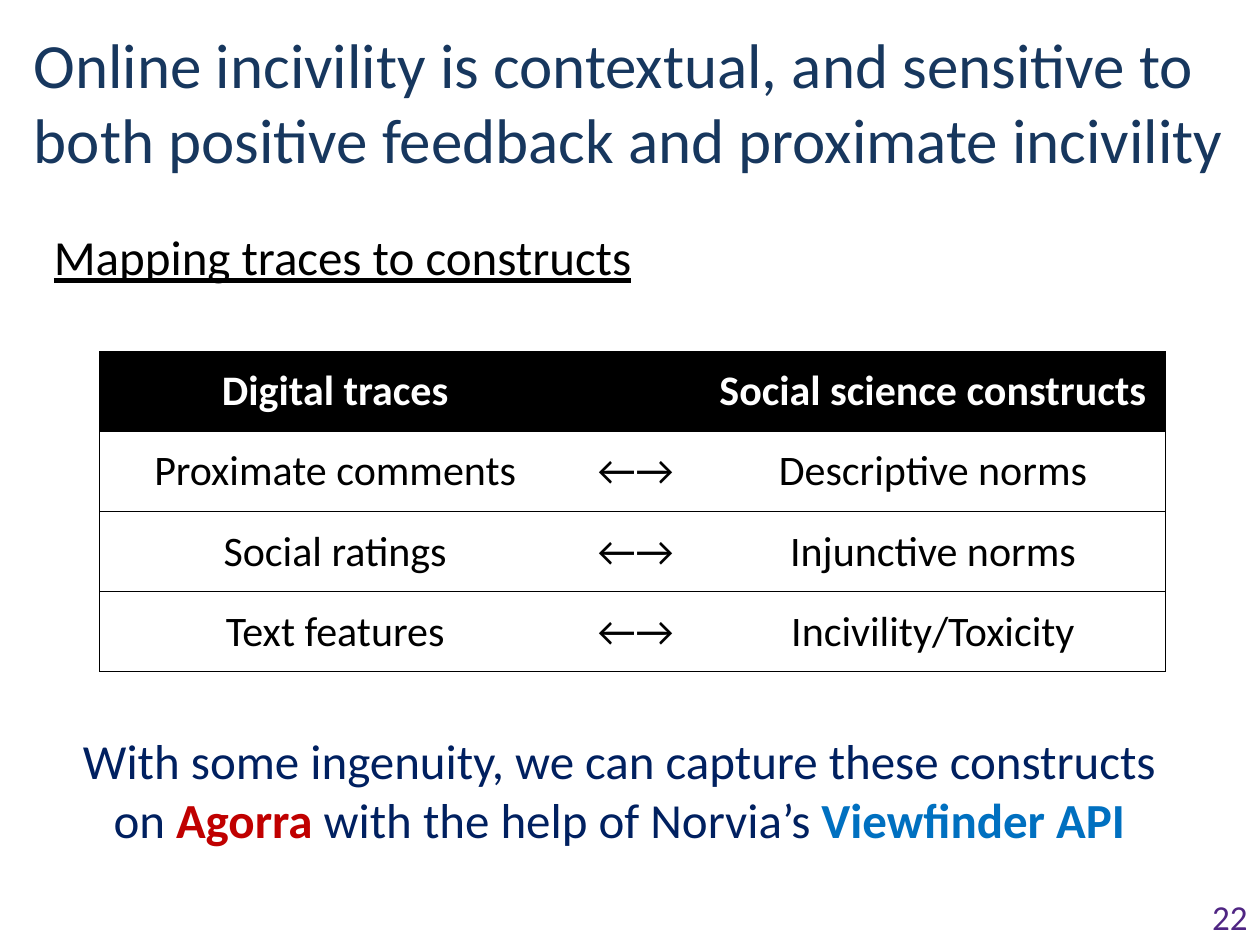
from dataclasses import dataclass

from lxml.etree import SubElement
from pptx import Presentation
from pptx.dml.color import RGBColor
from pptx.enum.text import MSO_ANCHOR as Anchor, PP_ALIGN as Align
from pptx.oxml.ns import qn
from pptx.util import Inches, Pt

WIDTH, HEIGHT = Inches(10), Inches(7.5)
FONT = "Calibri"
COLORS = {
    "black": "000000", "white": "FFFFFF", "title": "17375E", "number": "4F2583",
    "navy": "002060", "red": "C00000", "blue": "0070C0",
}
PLAIN_TABLE_STYLE = "{2D5ABB26-0587-4C30-8999-92F81FD0307C}"
COLUMN_SHARES = (0.374, 0.103, 0.369)
ROWS = (
    ("Digital traces", "", "Social science constructs"),
    ("Proximate comments", "←→", "Descriptive norms"),
    ("Social ratings", "←→", "Injunctive norms"),
    ("Text features", "←→", "Incivility/Toxicity"),
)


@dataclass(frozen=True)
class Span:
    text: str
    color: str
    bold: bool = False
    underline: bool = False


@dataclass(frozen=True)
class TextBox:
    """Place and size are shares of the slide's width and height."""
    left: float
    top: float
    width: float
    height: float
    size: int
    spans: tuple[Span, ...]
    align: Align = Align.LEFT
    anchor: Anchor = Anchor.TOP


TEXT_BOXES = (
    TextBox(0.033, 0.233, 0.917, 0.122, 28,
            (Span("Mapping traces to constructs", "black", underline=True),)),
    TextBox(0.017, 0.023, 0.967, 0.167, 36,
            (Span("Online incivility is contextual, and sensitive to "
                  "both positive feedback and proximate incivility", "title"),),
            anchor=Anchor.MIDDLE),
    TextBox(0.933, 0.941, 0.067, 0.059, 20, (Span("22", "number"),), Align.RIGHT),
    TextBox(0.033, 0.767, 0.917, 0.141, 28,
            (Span("With some ingenuity, we can capture these constructs on ", "navy"),
             Span("Agorra", "red", bold=True),
             Span(" with the help of Norvia’s ", "navy"),
             Span("Viewfinder API", "blue", bold=True)),
            Align.CENTER),
)


def add_span(para, span: Span, size: int) -> None:
    run = para.add_run()
    run.text = span.text
    formats = {"name": FONT, "size": Pt(size), "bold": span.bold,
               "underline": span.underline}
    for name, value in formats.items():
        setattr(run.font, name, value)
    run.font.color.rgb = RGBColor.from_string(COLORS[span.color])


def add_text(page, spec: TextBox) -> None:
    box = page.shapes.add_textbox(
        int(WIDTH * spec.left), int(HEIGHT * spec.top),
        int(WIDTH * spec.width), int(HEIGHT * spec.height))
    frame = box.text_frame
    frame.word_wrap = True
    frame.vertical_anchor = spec.anchor
    para = frame.paragraphs[0]
    para.alignment = spec.align
    for span in spec.spans:
        add_span(para, span, spec.size)


def set_borders(cell, drawn_sides: str) -> None:
    """Draw the sides named by the letters L, R, T and B; clear the others."""
    properties = cell._tc.get_or_add_tcPr()
    for side in "LRTB":
        line = SubElement(properties, qn(f"a:ln{side}"), w=str(Pt(0.75)))
        if side in drawn_sides:
            fill = SubElement(line, qn("a:solidFill"))
            SubElement(fill, qn("a:srgbClr"), val=COLORS["black"])
        else:
            SubElement(line, qn("a:noFill"))


def fill_cell(cell, text: str, is_header: bool, drawn_sides: str) -> None:
    set_borders(cell, drawn_sides)
    cell.fill.solid()
    cell.fill.fore_color.rgb = RGBColor.from_string(
        COLORS["black" if is_header else "white"])
    cell.vertical_anchor = Anchor.MIDDLE
    para = cell.text_frame.paragraphs[0]
    para.alignment = Align.CENTER
    if text:
        add_span(para, Span(text, "white" if is_header else "black", is_header), 24)


def add_mapping_table(page) -> None:
    table = page.shapes.add_table(
        len(ROWS), len(COLUMN_SHARES), int(WIDTH * 0.079), int(HEIGHT * 0.372),
        int(WIDTH * sum(COLUMN_SHARES)), int(HEIGHT * 0.339)).table
    table.first_row = table.horz_banding = False
    table._tbl.tblPr.find(qn("a:tableStyleId")).text = PLAIN_TABLE_STYLE
    for column, share in zip(table.columns, COLUMN_SHARES):
        column.width = int(WIDTH * share)
    outer_sides = ("L", "", "R")
    for row, texts in enumerate(ROWS):
        for column, text in enumerate(texts):
            fill_cell(table.cell(row, column), text, row == 0,
                      "TB" + outer_sides[column])


def main() -> None:
    deck = Presentation()
    deck.slide_width, deck.slide_height = WIDTH, HEIGHT
    page = deck.slides.add_slide(deck.slide_layouts[6])
    *upper_boxes, conclusion = TEXT_BOXES
    for box in upper_boxes:
        add_text(page, box)
    add_mapping_table(page)
    add_text(page, conclusion)
    deck.save("out.pptx")


if __name__ == "__main__":
    main()
